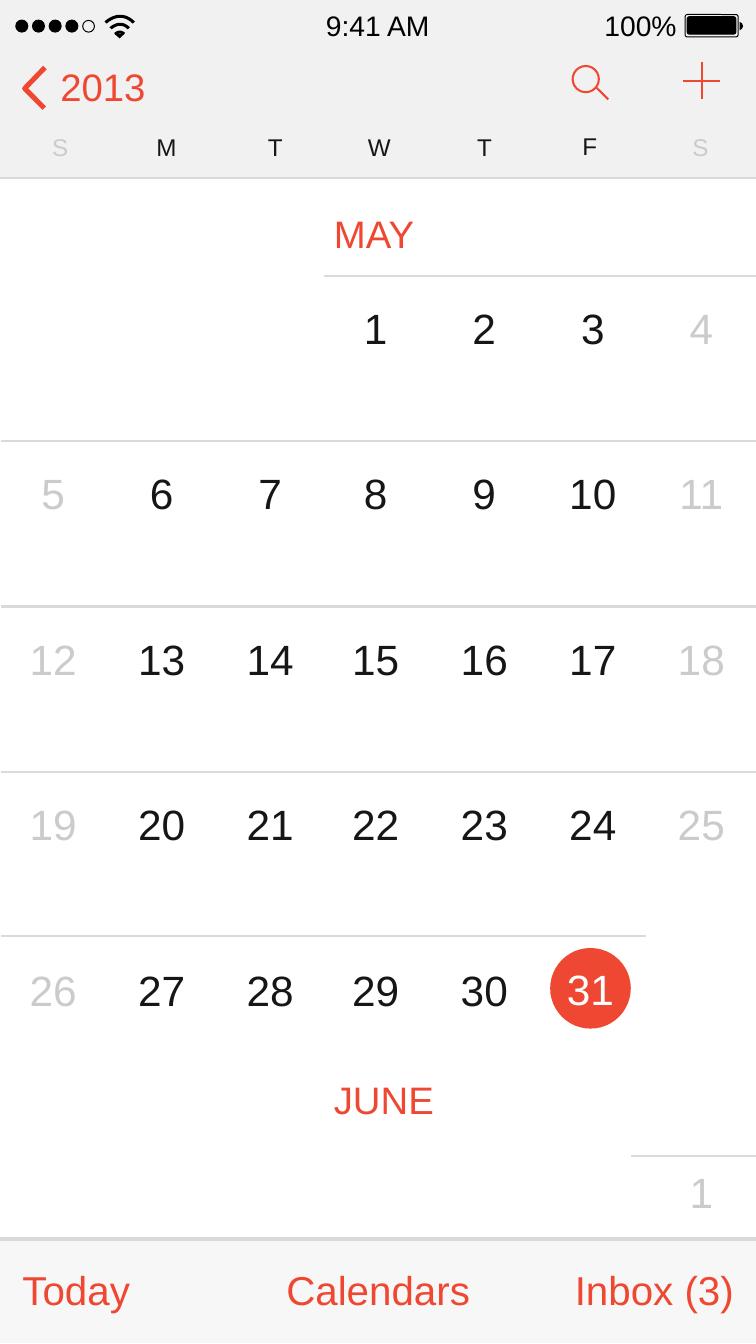
from lxml import etree
from pptx import Presentation, util as u
from pptx.dml import color
from pptx.enum import shapes, text
from pptx.oxml import ns


class Theme:
    font = "Arial"
    red, black, ink = "EF4832", "000000", "161616"
    pale, rule, white = "CBCBCB", "DADADA", "FFFFFF"
    header, footer = "E5E5E5", "F7F7F7"
    weekday, status, month, action, date = 24, 28, 38, 40, 42


LEFT, CENTER = text.PP_ALIGN.LEFT, text.PP_ALIGN.CENTER
OVAL, RECT, ROUND = (shapes.MSO_SHAPE.OVAL, shapes.MSO_SHAPE.RECTANGLE,
                     shapes.MSO_SHAPE.ROUNDED_RECTANGLE)
WIDTH, HEIGHT = 750, 1334
FRAME = {
    "margin_left": u.Pt(3.6), "margin_right": u.Pt(3.6),
    "margin_top": u.Pt(3.6), "margin_bottom": u.Pt(3.6),
    "word_wrap": False, "auto_size": text.MSO_AUTO_SIZE.NONE,
    "vertical_anchor": text.MSO_ANCHOR.MIDDLE,
}

deck = Presentation()
deck.slide_width, deck.slide_height = u.Pt(WIDTH), u.Pt(HEIGHT)
calendar = deck.slides.add_slide(deck.slide_layouts[5])
parts = calendar.shapes


def paint(part, fill, line, weight):
    part.shadow.inherit = False
    if fill:
        part.fill.solid()
        part.fill.fore_color.rgb = color.RGBColor.from_string(fill)
    else:
        part.fill.background()
    if line:
        part.line.color.rgb = color.RGBColor.from_string(line)
        part.line.width = u.Pt(weight)
    else:
        part.line.fill.background()


def write(words, place, size, ink, align=CENTER, holder=None):
    box = [u.Pt(length) for length in place]
    holder = holder or parts.add_textbox(*box)
    holder.left, holder.top, holder.width, holder.height = box
    for name, value in FRAME.items():
        setattr(holder.text_frame, name, value)
    paragraph = holder.text_frame.paragraphs[0]
    paragraph.text, paragraph.alignment = words, align
    for name, value in {"name": Theme.font, "size": u.Pt(size)}.items():
        setattr(paragraph.font, name, value)
    paragraph.font.color.rgb = color.RGBColor.from_string(ink)


today_place = (545.8, 941, 80, 80)
signal_dots = [(OVAL, (15.1 + 16.56 * dot, 19.4, 13, 13), Theme.black, None, 0, None)
               for dot in range(4)]
for kind, place, fill, line, weight, corner in [
    (RECT, (0, 0, WIDTH, 175.7), Theme.header, None, 0, None),
    (RECT, (0, 1232, WIDTH, 101), Theme.footer, None, 0, None),
    *signal_dots,
    (OVAL, (82, 20.2, 11.7, 11.7), None, Theme.black, 1, None),
    (OVAL, (568.1, 65.5, 26, 26), None, Theme.red, 2, None),
    (ROUND, (679.7, 14.4, 52.6, 22.3), None, Theme.black, 1, 0.1),
    (ROUND, (681.8, 16.6, 48.2, 17.3), Theme.black, Theme.black, 1, 0.12),
    (OVAL, today_place, Theme.red, None, 0, None),
]:
    part = parts.add_shape(kind, *[u.Pt(length) for length in place])
    paint(part, fill, line, weight)
    if corner:
        part.adjustments[0] = corner
    if fill == Theme.header:
        tint = part.fill._xPr.find(".//" + ns.qn("a:srgbClr"))
        etree.SubElement(tint, ns.qn("a:alpha"), val="50000")
today = part

outlines = [
    ([(44.6, 67), (24.5, 87.8), (43.9, 107.3)], False, None, Theme.red, 5),
    ([(123.1, 33.8), (118.8, 38.2), (113.8, 33.8)], True, Theme.black, None, 0),
    ([(733.7, 21.6), (733.7, 30.2), (736.2, 28.4), (737.2, 25.9), (736.2, 23.2)],
     True, Theme.black, None, 0),
]
for reach, base in [(14, 22.4), (9, 28.1), (4.3, 33.8)]:
    steps = [step / 16 for step in range(17)]
    wave = [(118.8 + reach * (t ** 3 - (1 - t) ** 3 - 3 * t * (1 - t) ** 2),
             base - 3 * reach * (1 - t) * t ** 2) for t in steps]
    outlines.append((wave, False, None, Theme.black, 3))
for points, closed, fill, line, weight in outlines:
    corners = [(u.Pt(x), u.Pt(y)) for x, y in points]
    pen = parts.build_freeform(*corners[0])
    pen.add_line_segments(corners[1:], close=closed)
    paint(pen.convert_to_shape(), fill, line, weight)

for start_x, start_y, end_x, end_y, ink, weight in [
    (0, 177.1, WIDTH, 177.1, Theme.rule, 2),
    (321.8, 273.6, WIDTH, 273.6, Theme.rule, 2),
    *[(0.7, 273.6 + 164.2 * week, WIDTH, 273.6 + 164.2 * week, Theme.rule, 2)
      for week in (1, 2, 3)],
    (0.7, 929.5, 640.8, 929.5, Theme.rule, 2),
    (625.7, 1147.7, WIDTH, 1147.7, Theme.rule, 2),
    (0, 1229.8, WIDTH, 1229.8, Theme.rule, 3),
    (591.8, 87.1, 603.4, 98.6, Theme.red, 2),
    (696.2, 61.9, 696.2, 98.6, Theme.red, 2),
    (677.5, 80.6, 714.2, 80.6, Theme.red, 2),
]:
    rule = parts.add_connector(shapes.MSO_CONNECTOR.STRAIGHT, u.Pt(start_x),
                               u.Pt(start_y), u.Pt(end_x), u.Pt(end_y))
    rule.line.color.rgb = color.RGBColor.from_string(ink)
    rule.line.width = u.Pt(weight)
    etree.SubElement(rule._element.spPr, ns.qn("a:effectLst"))

write("MAY", (327.6, 206, 89.3, 51.8), Theme.month, Theme.red, LEFT, parts.title)
for words, place, size, ink, align in [
    ("9:41 AM", (318.2, 5, 113, 40.3), Theme.status, Theme.black, CENTER),
    ("100%", (595.4, 5, 80, 40.3), Theme.status, Theme.black, CENTER),
    ("2013", (56.2, 59.8, 94.3, 51.8), Theme.month, Theme.red, LEFT),
    ("JUNE", (327.6, 1064.9, 108, 51.8), Theme.month, Theme.red, LEFT),
    ("Today", (18.7, 1252.8, 117.4, 54), Theme.action, Theme.red, LEFT),
    ("Calendars", (277.9, 1252.8, 194.4, 54), Theme.action, Theme.red, CENTER),
    ("Inbox (3)", (565.9, 1252.8, 166.3, 54), Theme.action, Theme.red, CENTER),
]:
    write(words, place, size, ink, align)

for letter, middle, top in [
    ("S", 59.8, 128.2), ("M", 165.2, 128.2), ("T", 273.2, 128.2), ("W", 376.2, 128.2),
    ("T", 480.6, 128.2), ("F", 585, 126.7), ("S", 694.8, 128.2),
]:
    ink = Theme.pale if letter == "S" else Theme.ink
    write(letter, (middle - 14, top, 28, 35.3), Theme.weekday, ink)

columns = [52.7 + 107.65 * column - (2.9 if column > 2 else 0) for column in range(7)]
dates = [(day, *divmod(day + 2, 7)) for day in range(1, 31)]
slots = [(day, column, 295.2 + 164.35 * week) for day, week, column in dates]
for day, column, top in slots + [(1, 6, 1153.4)]:
    width = 32.4 if day < 10 else 56.2
    ink = Theme.pale if column in (0, 6) else Theme.ink
    write(str(day), (columns[column] - width / 2, top, width, 59), Theme.date, ink)
write("31", today_place, Theme.date, Theme.white, holder=today)

deck.save("out.pptx")
